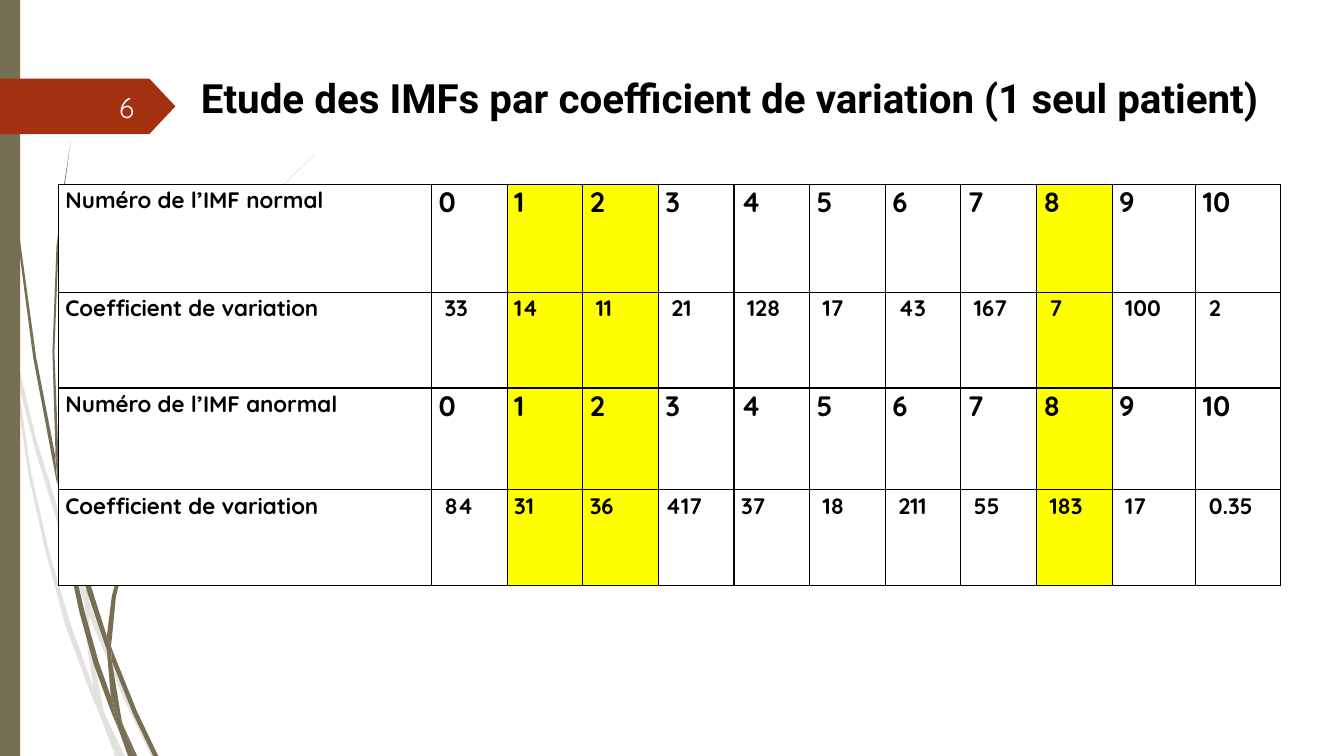
from lxml.etree import SubElement
from pptx import Presentation
from pptx.dml.color import RGBColor
from pptx.enum.shapes import MSO_SHAPE
from pptx.enum.text import MSO_ANCHOR, PP_ALIGN
from pptx.oxml.ns import qn
from pptx.util import Inches, Pt

OLIVE, RUST, BLACK, WHITE, YELLOW = "766F54", "A53010", "000000", "FFFFFF", "FFFF00"


def paint(target, color):
    target.solid()
    target.fore_color.rgb = RGBColor.from_string(color)


def write(frame, text, size, font, color, bold=False, align=PP_ALIGN.LEFT):
    frame.word_wrap = True
    paragraph = frame.paragraphs[0]
    paragraph.alignment = align
    run = paragraph.add_run()
    run.text = text
    run.font.size, run.font.name, run.font.bold = Pt(size), font, bold
    paint(run.font.fill, color)
    return paragraph


prs = Presentation()
prs.slide_width, prs.slide_height = Inches(13.33), Inches(7.5)
slide = prs.slides.add_slide(prs.slide_layouts[6])
shapes = slide.shapes
paint(slide.background.fill, WHITE)

# Grass blades: outline points in inches, pale blades behind dark ones
pale_blades = [
    "0.11,3.5 0.09,3.22 0,2.82 0,2.99 0.1,3.44",
    "0.58,5.22 0.84,5.99 0.85,5.86 0.62,5.2 0.36,4.36 0.14,3.45 0.17,3.76 0.36,4.5",
    "0.92,6.07 0.88,5.96 0.88,6.1 1.23,6.94 1.5,7.5 1.55,7.5 1.27,6.92",
    "1.19,7.5 1.24,7.5 1.05,7.11",
    "0.93,6.83 0.7,6.19 0.48,5.45 0.31,4.69 0.17,3.76 0.11,3.5 0.28,4.7 0.45,5.46 0.65,6.21 0.92,6.93 1.01,7.14 0.99,7.07",
    "0.84,5.99 0.87,6.46 0.93,6.83 0.96,6.92 1.05,7.11 1.03,7.06 0.91,6.46 0.88,6.1 0.88,6.08",
    "0.88,5.84 0.95,5.22 1.1,4.62 1.6,3.49 2.29,2.45 2.68,1.98 2.9,1.75 3.12,1.54 3.12,1.53 2.89,1.75 2.68,1.97 2.28,2.44 1.58,3.48 1.07,4.61 0.91,5.22 0.85,5.84 0.85,5.86 0.88,5.96",
    "1.01,7.14 1.14,7.5 1.19,7.5",
    "0.88,6.08 0.88,6.1 0.88,5.96 0.85,5.86 0.84,5.99",
    "0.96,6.92 0.93,6.83 0.99,7.07 1.01,7.14 1.19,7.5 1.05,7.11",
]
dark_blades = [
    "0.07,1.1 0.17,2.33 0.33,3.55 0.56,4.77 0.57,4.81 0.55,4.57 0.55,4.53 0.36,3.55 0.19,2.32 0.08,1.09 0.05,0.48 0.04,0 0.03,0 0.04,0.48",
    "0.88,5.92 1.06,6.45 1.06,6.31 0.93,5.9 0.75,5.32 0.6,4.72 0.64,5.05 0.75,5.49",
    "1.13,6.49 1.1,6.41 1.11,6.56 1.32,7.08 1.52,7.5 1.57,7.5 1.36,7.06",
    "1.1,6.91 0.98,6.57 0.84,6.07 0.72,5.56 0.64,5.05 0.57,4.77 0.68,5.57 0.79,6.08 0.93,6.59 1.11,7.08 1.17,7.22 1.16,7.17",
    "0.6,4.72 0.58,4.53 0.54,3.49 0.58,2.45 0.63,1.93 0.7,1.41 0.62,1.93 0.56,2.45 0.52,3.49 0.55,4.49",
    "1.33,7.5 1.36,7.5 1.22,7.19",
    "0.57,4.77 0.64,5.05 0.6,4.72 0.55,4.49 0.55,4.53",
    "1.11,6.33 1.15,5.92 1.25,5.52 1.58,4.76 2.05,4.06 2.31,3.74 2.61,3.44 2.6,3.44 2.31,3.73 2.04,4.05 1.56,4.74 1.22,5.51 1.11,5.91 1.06,6.31 1.1,6.41",
    "1.17,7.22 1.27,7.5 1.31,7.5",
    "1.06,6.45 1.1,6.91 1.16,7.06 1.22,7.19 1.21,7.16 1.11,6.56 1.09,6.51",
    "1.06,6.45 1.09,6.51 1.11,6.56 1.1,6.41 1.06,6.31",
    "1.16,7.06 1.1,6.91 1.16,7.17 1.17,7.22 1.3,7.5 1.33,7.5 1.22,7.19",
]
for blades, opacity in ((pale_blades, 20), (dark_blades, 100)):
    for outline in blades:
        points = [tuple(Inches(float(n)) for n in pair.split(",")) for pair in outline.split()]
        builder = shapes.build_freeform(*points[0])
        builder.add_line_segments(points[1:])
        blade = builder.convert_to_shape()
        blade.shadow.inherit = False
        blade.line.fill.background()
        paint(blade.fill, OLIVE)
        if opacity < 100:
            tint = blade.fill._xPr.find(".//" + qn("a:srgbClr"))
            SubElement(tint, qn("a:alpha"), val=str(opacity * 1000))

# Side stripe and page number banner
for kind, top, width, height, color in (
    (MSO_SHAPE.RECTANGLE, 0, 0.2, 7.5, OLIVE),
    (MSO_SHAPE.PENTAGON, 0.78, 1.74, 0.55, RUST),
):
    band = shapes.add_shape(kind, 0, Inches(top), Inches(width), Inches(height))
    band.shadow.inherit = False
    band.line.fill.background()
    paint(band.fill, color)
band.adjustments[0] = 0.47

# Title and page number
title = shapes.add_textbox(Inches(1.77), Inches(0.68), Inches(10.94), Inches(0.97))
write(title.text_frame, "Etude des IMFs par coefficient de variation (1 seul patient)",
      28.8, "Roboto", BLACK, True, PP_ALIGN.CENTER)
page_number = shapes.add_textbox(Inches(0.58), Inches(0.86), Inches(0.85), Inches(0.4))
page_number.text_frame.vertical_anchor = MSO_ANCHOR.MIDDLE
write(page_number.text_frame, "6", 20, "Quicksand", "FEFFFF", align=PP_ALIGN.RIGHT)

# Coefficients of variation per IMF
imf_numbers = [str(n) for n in range(11)]
rows = [
    ["Numéro de l’IMF normal"] + imf_numbers,
    ["Coefficient de variation"] + "33 14 11 21 128 17 43 167 7 100 2".split(),
    ["Numéro de l’IMF anormal"] + imf_numbers,
    ["Coefficient de variation"] + "84 31 36 417 37 18 211 55 183 17 0.35".split(),
]
col_widths = [3.7] + [0.75] * 9 + [0.83, 0.84]
row_heights = [1.07, 0.95, 1.01, 0.95]
highlighted_cols = {2, 3, 9}
flush_values = {"14", "31", "36", "417", "37"}

table = shapes.add_table(len(rows), len(col_widths), Inches(0.58), Inches(1.83),
                         Inches(sum(col_widths)), Inches(sum(row_heights))).table
for column, width in zip(table.columns, col_widths):
    column.width = Inches(width)
for r, (values, height) in enumerate(zip(rows, row_heights)):
    table.rows[r].height = Inches(height)
    for c, value in enumerate(values):
        cell = table.cell(r, c)
        is_number_row = r % 2 == 0
        indented = c > 0 and not is_number_row and value not in flush_values
        cell.margin_left = Inches(0.13 if indented else 0.07)
        cell.margin_right = Inches(0.07)
        cell.margin_top = cell.margin_bottom = 0
        large = is_number_row and c > 0
        paragraph = write(cell.text_frame, value, 20 if large else 16, "Quicksand", BLACK, True)
        if not large:
            paragraph.line_spacing = 1.07
        # Borders come before the fill in the cell properties
        properties = cell._tc.get_or_add_tcPr()
        for side in ("lnL", "lnR", "lnT", "lnB"):
            border = SubElement(properties, qn("a:" + side), w=str(Pt(1)))
            SubElement(SubElement(border, qn("a:solidFill")), qn("a:srgbClr"), val=BLACK)
        paint(cell.fill, YELLOW if c in highlighted_cols else WHITE)

prs.save("out.pptx")
